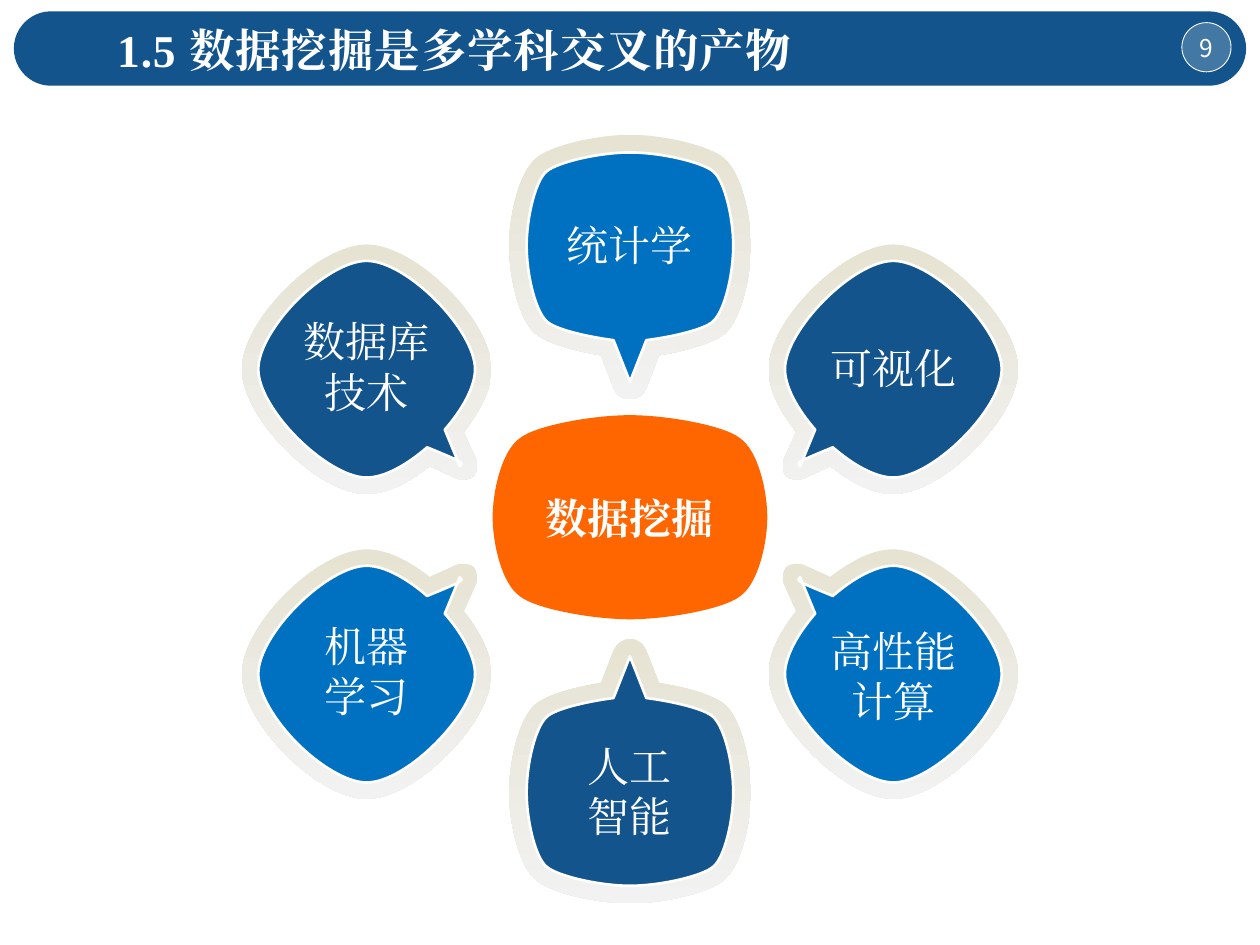
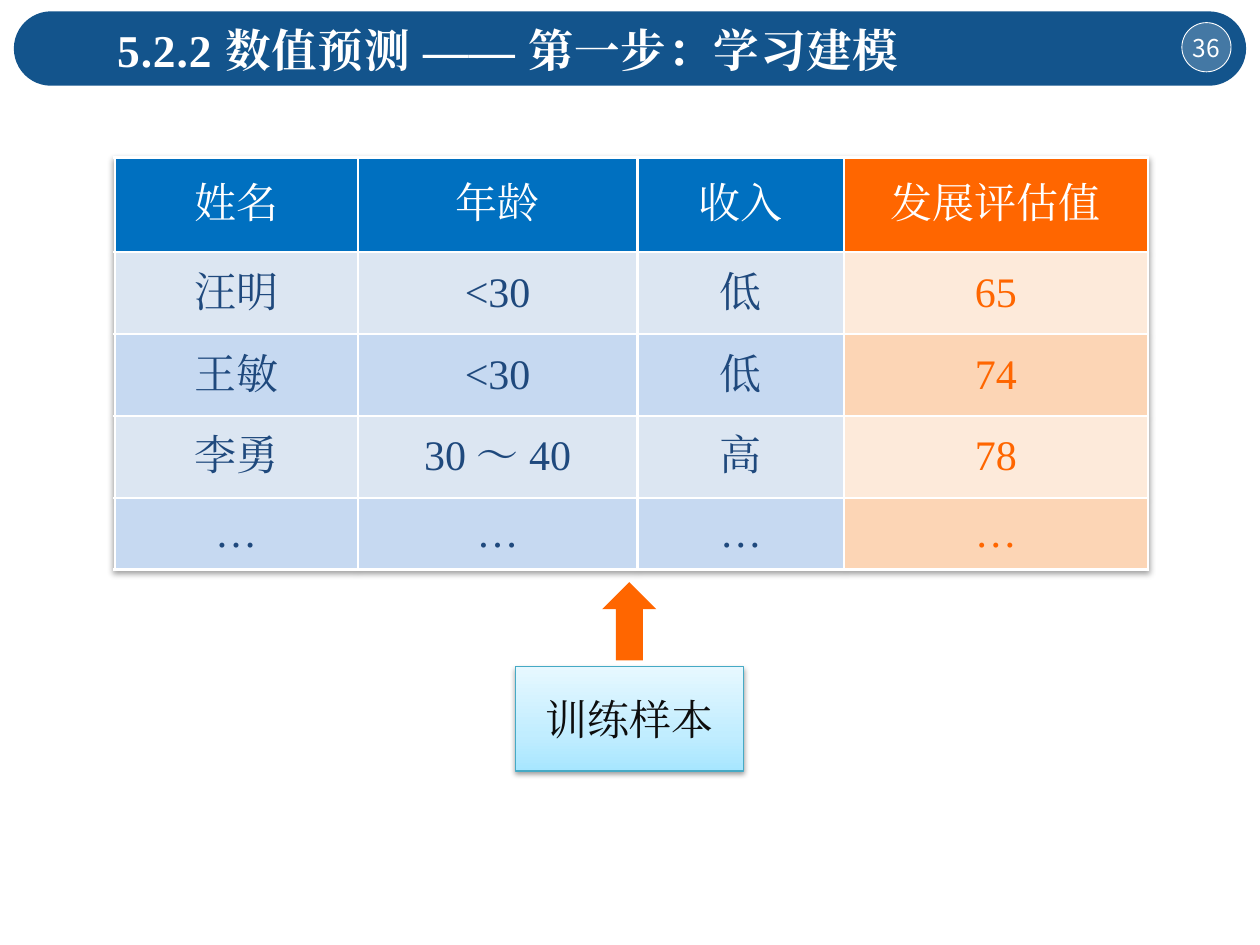
import dataclasses

import lxml.etree
import pptx
import pptx.dml.color
import pptx.enum.shapes
import pptx.enum.text
import pptx.oxml.ns
import pptx.util

COLS, ROWS = 100, 75
qn = pptx.oxml.ns.qn
SHAPE = pptx.enum.shapes.MSO_SHAPE
ALIGN = pptx.enum.text.PP_ALIGN
MIDDLE = pptx.enum.text.MSO_ANCHOR.MIDDLE


@dataclasses.dataclass(frozen=True)
class Theme:
    navy: str = "13548C"
    blue: str = "0070C0"
    orange: str = "FF6600"
    white: str = "FFFFFF"
    ink: str = "1F497D"
    black: str = "0D0D0D"
    box_edge: str = "46AAC5"
    halo: tuple = ((0, "E6E3D2"), (100, "F2F2F2"))
    box: tuple = ((0, "A7E6FF"), (35, "C1EDFF"), (100, "E7F8FF"))
    bands: tuple = ("DCE6F2", "C6D9F1")
    score_bands: tuple = ("FDEADA", "FCD5B5")
    title: int = 26
    body: int = 24
    number: int = 14
    font: str = "Times New Roman"
    number_font: str = "Noto Sans CJK SC"


T = Theme()

HUB = [
    (0, -8.1), (2.9, -8.1), (7.4, -7.3), (8.7, -6.3), (10.2, -5.3), (10.9, -2), (10.9, 0),
    (10.9, 2), (10.2, 5.3), (8.7, 6.3), (7.4, 7.3), (2.9, 8.1), (0, 8.1)]
UPRIGHT_HALO = [
    (0, -8.8), (2.5, -8.8), (6.3, -8), (7.5, -6.9), (8.9, -5.7), (9.6, -2.1), (9.6, 0),
    (9.6, 2.2), (8.9, 5.8), (7.5, 7), (6.5, 7.8), (4.2, 8.4), (2.3, 8.7),
    *[(1.3, 11.3)] * 3, (1.1, 11.8), (0.6, 12.2), (0, 12.2)]
UPRIGHT_CORE = [
    (0, -7.4), (2.5, -7.4), (5.8, -6.6), (6.6, -5.9), (7.5, -5.2), (8.2, -2.2), (8.2, 0),
    (8.2, 2.3), (7.5, 5.2), (6.6, 6), (6, 6.6), (3.6, 7.2), (1.3, 7.5), *[(0, 10.8)] * 3]
SLANTED_HALO = [
    (-6.4, -6.4), (-4.2, -8.6), (-1.8, -9.9), (0, -9.9), (1.8, -9.9), (4.2, -8.6), (6.4, -6.4),
    (8.6, -4.2), (9.9, -1.8), (9.9, 0), (9.9, 1.9), (8.7, 3.7), (7.7, 5),
    *[(8.7, 7.2)] * 3, (8.8, 7.6), (8.8, 8.1), (8.5, 8.5)]
SLANTED_CORE = [
    (-5.5, -5.5), (-3.8, -7.2), (-1.6, -8.6), (0, -8.6), (3.2, -8.6), (8.6, -3.1), (8.6, 0),
    (8.6, 1.4), (7.6, 3.2), (6.2, 4.8), *[(7.4, 7.7)] * 3]


def rgb(value):
    return pptx.dml.color.RGBColor.from_string(value)


def unit(n):
    return pptx.util.Inches(n * 10 / COLS)


def place(*cells):
    return [unit(n) for n in cells]


def paint(shape, fill, line=None, width=1.5):
    shape.shadow.inherit = False
    if isinstance(fill, str):
        shape.fill.solid()
        shape.fill.fore_color.rgb = rgb(fill)
    else:
        paint_gradient(shape, fill)
    if line:
        shape.line.color.rgb = rgb(line)
        shape.line.width = pptx.util.Pt(width)
    else:
        shape.line.fill.background()
    return shape


def paint_gradient(shape, stops, angle=270):
    shape.fill.gradient()
    shape.fill.gradient_angle = angle
    gs_list = shape.element.find(".//" + qn("a:gsLst"))
    for gs in list(gs_list):
        gs_list.remove(gs)
    for pos, color in stops:
        gs = lxml.etree.SubElement(gs_list, qn("a:gs"), pos=str(pos * 1000))
        lxml.etree.SubElement(gs, qn("a:srgbClr"), val=color)


def drop_shadow(effects):
    shadow = lxml.etree.SubElement(
        effects, qn("a:outerShdw"), blurRad=str(pptx.util.Pt(3.1)),
        dist=str(pptx.util.Pt(1.6)), dir="5400000", rotWithShape="0")
    color = lxml.etree.SubElement(shadow, qn("a:srgbClr"), val="000000")
    lxml.etree.SubElement(color, qn("a:alpha"), val="38000")


def write(tf, text, color=T.white, size=T.body, bold=False, align=ALIGN.CENTER, font=T.font):
    tf.vertical_anchor = MIDDLE
    for i, line in enumerate(text.split("\n")):
        p = tf.add_paragraph() if i else tf.paragraphs[0]
        p.alignment = align
        r = p.add_run()
        r.text = line
        r.font.name = font
        r.font.size = pptx.util.Pt(size)
        r.font.bold = bold
        r.font.color.rgb = rgb(color)
        latin = r.font._element.find(qn("a:latin"))
        latin.addnext(lxml.etree.Element(qn("a:ea"), typeface=font))


def add_slide(prs, title, number):
    s = prs.slides.add_slide(prs.slide_layouts[5])
    band = paint(s.shapes.add_shape(SHAPE.ROUNDED_RECTANGLE, *place(1.1, 0.9, 97.8, 5.9)), T.navy)
    band.adjustments[0] = 0.5
    badge = paint(s.shapes.add_shape(SHAPE.OVAL, *place(93.8, 1.8, 3.9, 3.9)), T.white, T.white, 0.5)
    clr = badge.element.spPr.find(qn("a:solidFill")).find(qn("a:srgbClr"))
    lxml.etree.SubElement(clr, qn("a:alpha"), val="21000")
    tf = badge.text_frame
    tf.margin_left = tf.margin_top = tf.margin_right = tf.margin_bottom = 0
    tf.word_wrap = False
    write(tf, number, size=T.number, font=T.number_font)
    head = s.shapes.title
    head.left, head.top, head.width, head.height = place(8.3, 1.2, 70, 5.4)
    head.text_frame.auto_size = pptx.enum.text.MSO_AUTO_SIZE.NONE
    write(head.text_frame, title, size=T.title, bold=True, align=ALIGN.LEFT)
    head.element.find(".//" + qn("a:rPr")).set("spc", "50")
    for shape in (band, badge):
        head.element.addprevious(shape.element)
    return s


def bend(shape):
    outline = shape.element.find(".//" + qn("a:path"))
    lines = outline.findall(qn("a:lnTo"))
    for i in range(0, len(lines), 3):
        curve = lxml.etree.Element(qn("a:cubicBezTo"))
        lines[i].addprevious(curve)
        for line in lines[i:i + 3]:
            curve.append(line[0])
            outline.remove(line)


def add_outline(s, half, centre, flip=(1, 1), slanted=False):
    other = [(y, x) if slanted else (-x, y) for x, y in reversed(half)]
    pts = [(unit(centre[0] + flip[0] * x), unit(centre[1] + flip[1] * y))
           for x, y in half + other[1:]]
    builder = s.shapes.build_freeform(*pts[0], scale=1.0)
    builder.add_line_segments(pts[1:], close=True)
    shape = builder.convert_to_shape()
    bend(shape)
    return shape


def add_petal(s, centre, flip, color):
    slanted = centre[0] != COLS / 2
    halo, core = (SLANTED_HALO, SLANTED_CORE) if slanted else (UPRIGHT_HALO, UPRIGHT_CORE)
    paint(add_outline(s, halo, centre, flip, slanted), T.halo)
    paint(add_outline(s, core, centre, flip, slanted), color, T.white)


def add_label(s, text, centre, w=14.4, h=8.3):
    box = s.shapes.add_textbox(*place(centre[0] - w / 2, centre[1] - h / 2, w, h))
    box.text_frame.word_wrap = False
    write(box.text_frame, text)


def border(cell):
    tc_pr = cell._tc.get_or_add_tcPr()
    for side in ("lnL", "lnR", "lnT", "lnB"):
        ln = lxml.etree.SubElement(tc_pr, qn("a:" + side), w=str(pptx.util.Pt(1.5)))
        fill = lxml.etree.SubElement(ln, qn("a:solidFill"))
        lxml.etree.SubElement(fill, qn("a:srgbClr"), val=T.white)


def add_samples(s, rows, widths, heights):
    frame = s.shapes.add_table(len(rows), len(widths),
                               *place(9.1, 12.5, sum(widths), sum(heights)))
    table = frame.table
    table.horz_banding = table.first_row = False
    for col, w in zip(table.columns, widths):
        col.width = unit(w)
    for row, h in zip(table.rows, heights):
        row.height = unit(h)
    for i, row in enumerate(rows):
        for j, text in enumerate(row):
            score = j == len(row) - 1
            accent = T.orange if score else T.blue
            bands = T.score_bands if score else T.bands
            cell = table.cell(i, j)
            cell.vertical_anchor = MIDDLE
            border(cell)
            cell.fill.solid()
            cell.fill.fore_color.rgb = rgb(bands[(i - 1) % 2] if i else accent)
            color = T.white if i == 0 else T.orange if score else T.ink
            write(cell.text_frame, text, color)
    effects = lxml.etree.Element(qn("a:effectLst"))
    drop_shadow(effects)
    table._tbl.tblPr.insert(0, effects)


def disciplines_slide(prs):
    s = add_slide(prs, "1.5 数据挖掘是多学科交叉的产物", "9")
    hub = paint(add_outline(s, HUB, (50, 41.05)), T.orange)
    write(hub.text_frame, "数据挖掘", bold=True)
    left, mid, right = 29.1, COLS / 2, 70.9
    upper, lower = 29.3, 53.5
    petals = [
        ("数据库\n技术", (left, upper), (1, 1), T.navy, 29.05),
        ("机器\n学习", (left, lower), (1, -1), T.blue, 53.25),
        ("人工\n智能", (mid, 62.9), (1, -1), T.navy, 62.75),
        ("高性能\n计算", (right, lower), (-1, -1), T.blue, 53.65),
        ("可视化", (right, upper), (-1, 1), T.navy, 29.2),
        ("统计学", (mid, 19.5), (1, 1), T.blue, 19.45)]
    for _, centre, flip, color, _ in petals:
        add_petal(s, centre, flip, color)
    for text, centre, _, _, text_row in petals:
        add_label(s, text, (centre[0], text_row))


def samples_slide(prs):
    s = add_slide(prs, "5.2.2 数值预测 —— 第一步：学习建模", "36")
    rows = [
        ("姓名", "年龄", "收入", "发展评估值"),
        ("汪明", "<30", "低", "65"),
        ("王敏", "<30", "低", "74"),
        ("李勇", "30 ～ 40", "高", "78"),
        ("…",) * 4]
    add_samples(s, rows, (19.3, 22.2, 16.4, 24.1), (7.5, 6.5, 6.5, 6.5, 5.7))
    box = paint(s.shapes.add_shape(SHAPE.RECTANGLE, *place(40.9, 52.9, 18.1, 8.3)),
                T.box, T.box_edge, 0.75)
    box.fill.gradient_angle = 90
    drop_shadow(box.element.spPr.find(qn("a:effectLst")))
    box.text_frame.word_wrap = False
    write(box.text_frame, "训练样本", T.black)
    paint(s.shapes.add_shape(SHAPE.UP_ARROW, *place(47.8, 46.2, 4.3, 6.2)), T.orange)


def main():
    prs = pptx.Presentation()
    prs.slide_width, prs.slide_height = place(COLS, ROWS)
    disciplines_slide(prs)
    samples_slide(prs)
    prs.save("out.pptx")


if __name__ == "__main__":
    main()
